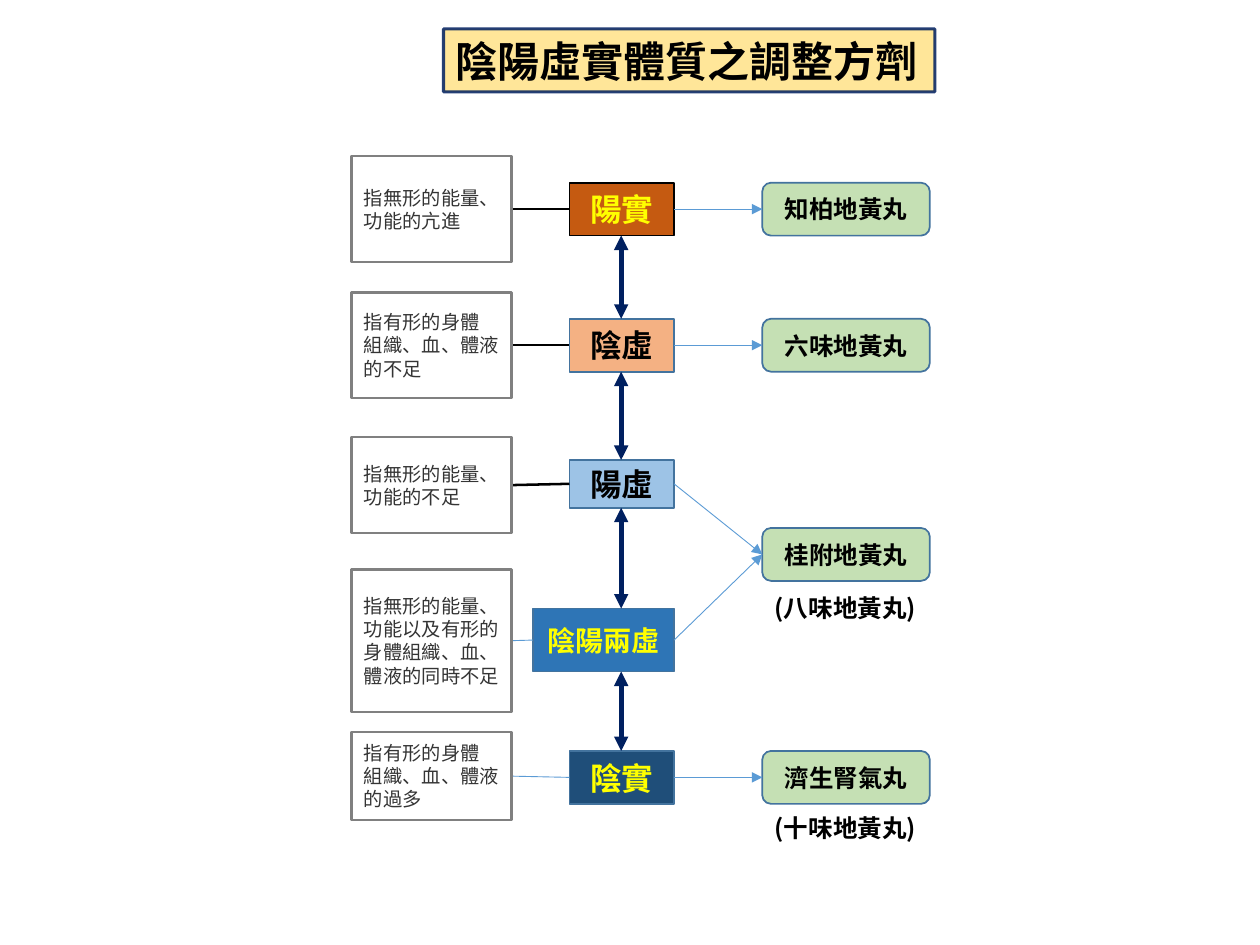
from lxml import etree
from pptx import Presentation
from pptx.dml.color import RGBColor
from pptx.enum.shapes import MSO_CONNECTOR, MSO_SHAPE
from pptx.enum.text import MSO_ANCHOR, MSO_AUTO_SIZE, PP_ALIGN
from pptx.oxml.ns import qn
from pptx.util import Inches, Pt

COLORS = {
    "black": "000000", "white": "FFFFFF", "yellow": "FFFF00", "gray": "808080",
    "body": "343434", "navy": "002060", "blue": "5B9BD5", "edge": "43739E",
    "green": "C5E0B4", "cream": "FFE699", "rust": "C55A11", "peach": "F4B183",
    "sky": "9DC3E6", "azure": "2E75B6", "deep": "1F4E79",
}
NOTE_LEFT, NOTE_WIDTH = 2.79, 1.27
STATE_RIGHT, AXIS = 5.35, 4.93
FORMULA_LEFT, FORMULA_WIDTH, FORMULA_HEIGHT = 6.05, 1.33, 0.42

STAGES = [
    dict(name="陽實", box=(4.52, 1.45, 0.83, 0.42), fill="rust", edge="black",
         color="yellow", size=18, link=("black", 1.45), note_top=1.24, note_height=0.84,
         note=["指無形的能量、", "功能的亢進"]),
    dict(name="陰虛", box=(4.52, 2.53, 0.83, 0.42), fill="peach", edge="edge",
         color="black", size=18, link=("black", 1.45), note_top=2.32, note_height=0.84,
         note=["指有形的身體", "組織、血、體液", "的不足"]),
    dict(name="陽虛", box=(4.52, 3.65, 0.83, 0.38), fill="sky", edge="edge",
         color="black", size=18, link=("black", 1.45), note_top=3.47, note_height=0.76,
         note=["指無形的能量、", "功能的不足"]),
    dict(name="陰陽兩虛", box=(4.23, 4.83, 1.12, 0.5), fill="azure", edge="edge",
         color="yellow", size=16, link=("blue", 0.5), note_top=4.52, note_height=1.13,
         note=["指無形的能量、", "功能以及有形的", "身體組織、血、", "體液的同時不足"]),
    dict(name="陰實", box=(4.52, 5.96, 0.83, 0.42), fill="deep", edge="edge",
         color="yellow", size=18, link=("blue", 0.5), note_top=5.81, note_height=0.7,
         note=["指有形的身體", "組織、血、體液", "的過多"]),
]
FORMULAS = [
    ("知柏地黃丸", 1.45, [0], None),
    ("六味地黃丸", 2.53, [1], None),
    ("桂附地黃丸", 4.19, [2, 3], ("(八味地黃丸)", 4.66)),
    ("濟生腎氣丸", 5.96, [4], ("(十味地黃丸)", 6.4)),
]


def rgb(name):
    return RGBColor.from_string(COLORS[name])


def middle(box):
    return box[1] + box[3] / 2


def write_text(shape, lines, size, font, color, bold=True, align=PP_ALIGN.LEFT, **frame_format):
    frame = shape.text_frame
    for key, value in frame_format.items():
        setattr(frame, key, value)
    for index, line in enumerate(lines):
        para = frame.paragraphs[0] if index == 0 else frame.add_paragraph()
        para.alignment = align
        span = para.add_run()
        span.text = line
        for key, value in dict(size=Pt(size), name=font, bold=bold).items():
            setattr(span.font, key, value)
        span.font.color.rgb = rgb(color)


def add_box(page, box, fill, edge, width, kind=MSO_SHAPE.RECTANGLE):
    shape = page.shapes.add_shape(kind, *map(Inches, box))
    shape.shadow.inherit = False
    shape.fill.solid()
    shape.fill.fore_color.rgb = rgb(fill)
    shape.line.color.rgb = rgb(edge)
    shape.line.width = Pt(width)
    return shape


def add_line(page, start, end, color, width, arrows=()):
    line = page.shapes.add_connector(MSO_CONNECTOR.STRAIGHT, *map(Inches, (*start, *end)))
    line.line.color.rgb = rgb(color)
    line.line.width = Pt(width)
    outline = line.line._get_or_add_ln()
    for arrow in arrows:
        etree.SubElement(outline, qn(f"a:{arrow}"), type="triangle")
    etree.SubElement(line._element.spPr, qn("a:effectLst"))


def add_title(page, box):
    shape = add_box(page, box, "cream", "navy", 1.75)
    edge_color = shape.line._get_or_add_ln().find(".//" + qn("a:srgbClr"))
    etree.SubElement(edge_color, qn("a:alpha"), val="85000")
    write_text(shape, ["陰陽虛實體質之調整方劑"], 24, "Noto Sans CJK SC", "black",
               word_wrap=False, auto_size=MSO_AUTO_SIZE.SHAPE_TO_FIT_TEXT,
               vertical_anchor=MSO_ANCHOR.TOP)


def add_stage(page, stage):
    box = stage["box"]
    state = add_box(page, box, stage["fill"], stage["edge"], 1)
    write_text(state, [stage["name"]], stage["size"], "Calibri", stage["color"],
               align=PP_ALIGN.CENTER, vertical_anchor=MSO_ANCHOR.MIDDLE)
    note_box = (NOTE_LEFT, stage["note_top"], NOTE_WIDTH, stage["note_height"])
    add_line(page, (NOTE_LEFT + NOTE_WIDTH, middle(note_box)), (box[0], middle(box)),
             *stage["link"])
    note = add_box(page, note_box, "white", "gray", 1.45)
    write_text(note, stage["note"], 11, "Roboto", "body", bold=False,
               word_wrap=False, vertical_anchor=MSO_ANCHOR.MIDDLE)


def add_axis(page, stages):
    for upper, lower in zip(stages, stages[1:]):
        _, top, _, height = upper["box"]
        add_line(page, (AXIS, top + height), (AXIS, lower["box"][1]),
                 "navy", 2.75, ("headEnd", "tailEnd"))


def add_formula(page, name, top, sources, alias):
    box = (FORMULA_LEFT, top, FORMULA_WIDTH, FORMULA_HEIGHT)
    shape = add_box(page, box, "green", "edge", 1, MSO_SHAPE.ROUNDED_RECTANGLE)
    write_text(shape, [name], 14, "Calibri", "black",
               align=PP_ALIGN.CENTER, vertical_anchor=MSO_ANCHOR.MIDDLE)
    for source in sources:
        add_line(page, (STATE_RIGHT, middle(STAGES[source]["box"])),
                 (FORMULA_LEFT, middle(box)), "blue", 0.5, ("tailEnd",))
    if alias:
        label, label_top = alias
        label_box = page.shapes.add_textbox(
            *map(Inches, (FORMULA_LEFT, label_top, 1.38, 0.34)))
        write_text(label_box, [label], 14, "Noto Sans CJK SC", "black", word_wrap=True)


def main():
    deck = Presentation()
    deck.slide_width, deck.slide_height = Inches(10), Inches(7.5)
    page = deck.slides.add_slide(deck.slide_layouts[6])
    for stage in STAGES:
        add_stage(page, stage)
    add_axis(page, STAGES)
    add_title(page, (3.52, 0.23, 3.9, 0.5))
    for formula in FORMULAS:
        add_formula(page, *formula)
    deck.save("out.pptx")


if __name__ == "__main__":
    main()
